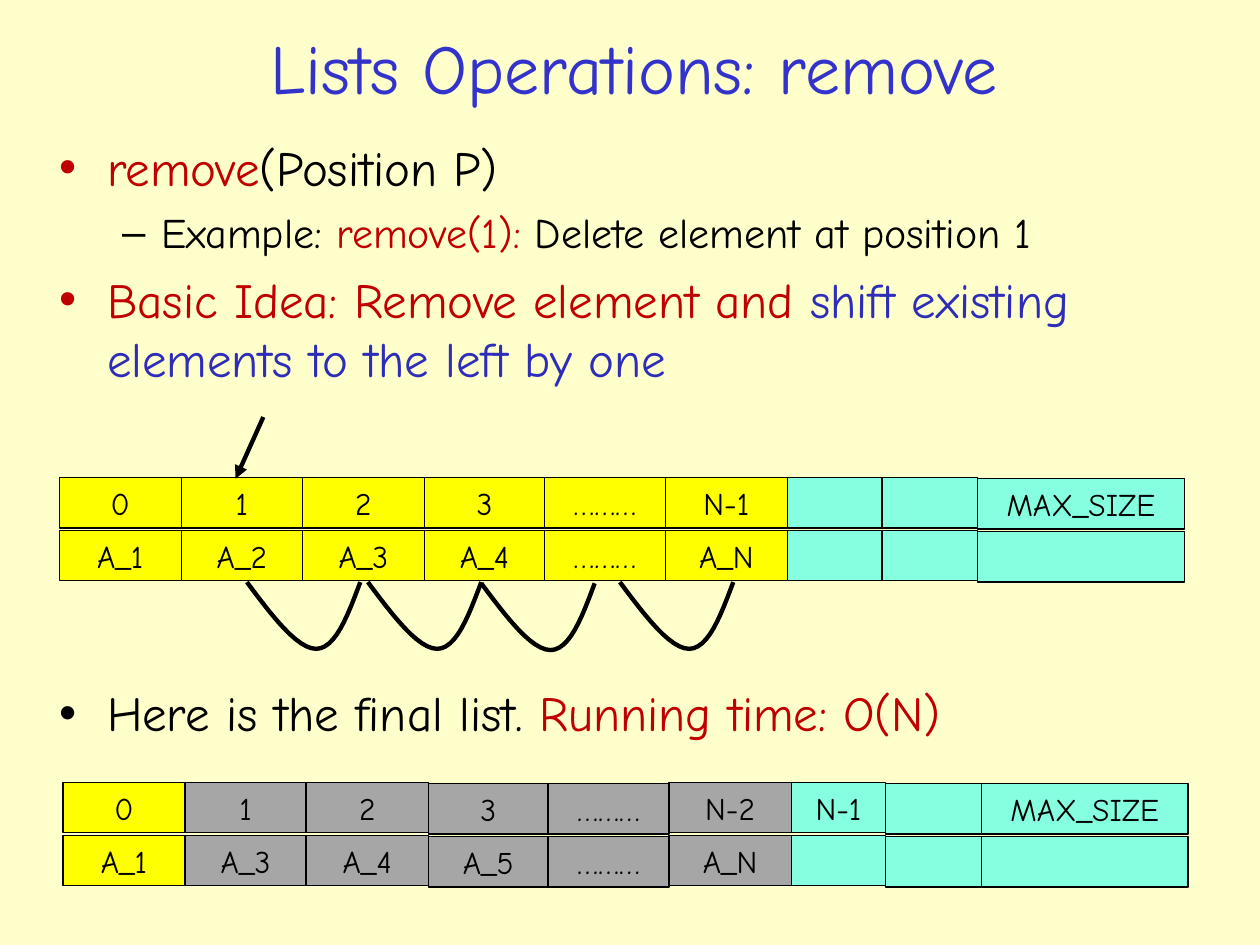
from itertools import accumulate
from lxml.etree import SubElement
from pptx import Presentation
from pptx.dml.color import RGBColor
from pptx.enum.shapes import MSO_CONNECTOR, MSO_SHAPE
from pptx.enum.text import MSO_ANCHOR, MSO_AUTO_SIZE, PP_ALIGN
from pptx.oxml.ns import qn
from pptx.util import Inches, Pt

BLACK, RED, BLUE = "000000", "C00000", "2D2DB9"
YELLOW, GRAY, AQUA = "FFFF00", "A6A6A6", "85FFE0"


def color(code):
    return RGBColor.from_string(code)


def write(para, text, size, code):
    run = para.add_run()
    run.text = text
    run.font.name = "Comic Neue"
    run.font.size = Pt(size)
    run.font.color.rgb = color(code)


deck = Presentation()
deck.slide_width, deck.slide_height = Inches(10), Inches(7.5)
slide = deck.slides.add_slide(deck.slide_layouts[1])
slide.background.fill.solid()
slide.background.fill.fore_color.rgb = color("FFFFCC")

title, body = slide.placeholders
places = [(title, 0.35, 0.15, 9.36, 0.76), (body, 0.37, 1.04, 9.24, 6.25)]
for holder, left, top, width, height in places:
    holder.left, holder.top = Inches(left), Inches(top)
    holder.width, holder.height = Inches(width), Inches(height)
    holder.text_frame.auto_size = MSO_AUTO_SIZE.NONE

title.text_frame.vertical_anchor = MSO_ANCHOR.MIDDLE
head = title.text_frame.paragraphs[0]
head.alignment = PP_ALIGN.CENTER
write(head, "Lists Operations: remove", 40, "3333CC")

points = [
    (0, 7, RED, [("remove", RED), ("(Position P)", BLACK)]),
    (1, 6, BLACK, [("Example: ", BLACK), ("remove(1): ", RED),
                   ("Delete element at position 1", BLACK)]),
    (0, 7, RED, [("Basic Idea: Remove element and ", RED),
                 ("shift existing elements to the left by one", BLUE)]),
    (0, 169, BLACK, [("Here is the final list. ", BLACK),
                     ("Running time: O(N)", RED)]),
]
levels = [(28, 0.38, -0.38, "•"), (24, 0.81, -0.31, "–")]
frame = body.text_frame
for i, (level, before, dot, runs) in enumerate(points):
    para = frame.add_paragraph() if i else frame.paragraphs[0]
    size, margin, indent, mark = levels[level]
    para.level = level
    para.space_before = Pt(before)
    props = para._p.get_or_add_pPr()
    props.set("marL", str(Inches(margin)))
    props.set("indent", str(Inches(indent)))
    tint = SubElement(props, qn("a:buClr"))
    SubElement(tint, qn("a:srgbClr"), val=dot)
    SubElement(props, qn("a:buChar"), char=mark)
    for text, code in runs:
        write(para, text, size, code)

widths = [0.97, 0.96, 0.97, 0.95, 0.96, 0.97, 0.75, 0.76, 1.64]
lists = [
    (0.47, 3.79, [YELLOW] * 6 + [AQUA] * 3, [8],
     [["0", "1", "2", "3", "………", "N-1", "", "", "MAX_SIZE"],
      ["A_1", "A_2", "A_3", "A_4", "………", "A_N", "", "", ""]]),
    (0.5, 6.21, [YELLOW] + [GRAY] * 5 + [AQUA] * 3, [3, 4, 7, 8],
     [["0", "1", "2", "3", "………", "N-2", "N-1", "", "MAX_SIZE"],
      ["A_1", "A_3", "A_4", "A_5", "………", "A_N", "", "", ""]]),
]
for left, top, fills, low, rows in lists:
    edges = list(accumulate(widths, initial=left))
    for r, row in enumerate(rows):
        for c, text in enumerate(row):
            drop = 0.01 if c in low else 0
            cell = slide.shapes.add_shape(
                MSO_SHAPE.RECTANGLE, Inches(edges[c]), Inches(top + r * 0.42 + drop),
                Inches(widths[c]), Inches(0.4))
            cell.shadow.inherit = False
            cell.fill.solid()
            cell.fill.fore_color.rgb = color(fills[c])
            cell.line.color.rgb = color(BLACK)
            cell.line.width = Pt(0.75)
            if text:
                para = cell.text_frame.paragraphs[0]
                para.alignment = PP_ALIGN.CENTER
                write(para, text, 18, BLACK)

halves = [[(0, 0), (0.2, 0.27), (0.4, 0.53), (0.55, 0.53)],
          [(0.55, 0.53), (0.7, 0.53), (0.8, 0.27), (0.9, 0)]]
steps = 12
curve = []
for a, b, c, d in halves:
    for n in range(1, steps + 1):
        t = n / steps
        u = 1 - t
        curve.append([u**3 * a[k] + 3 * u * u * t * b[k] + 3 * u * t * t * c[k] + t**3 * d[k]
                      for k in (0, 1)])

for left, top in [(4.92, 4.62), (3.82, 4.63), (2.92, 4.62), (1.96, 4.62)]:
    path = slide.shapes.build_freeform(Inches(left), Inches(top))
    path.add_line_segments([(Inches(left + x), Inches(top + y)) for x, y in curve], close=False)
    arc = path.convert_to_shape()
    arc.shadow.inherit = False
    arc.fill.background()
    arc.line.color.rgb = color(BLACK)
    arc.line.width = Pt(2.5)

arrow = slide.shapes.add_connector(
    MSO_CONNECTOR.STRAIGHT, Inches(2.09), Inches(3.31), Inches(1.87), Inches(3.8))
arrow.line.color.rgb = color(BLACK)
arrow.line.width = Pt(2.5)
SubElement(arrow.line._get_or_add_ln(), qn("a:tailEnd"), type="triangle")
SubElement(arrow._element.spPr, qn("a:effectLst"))

deck.save("out.pptx")
